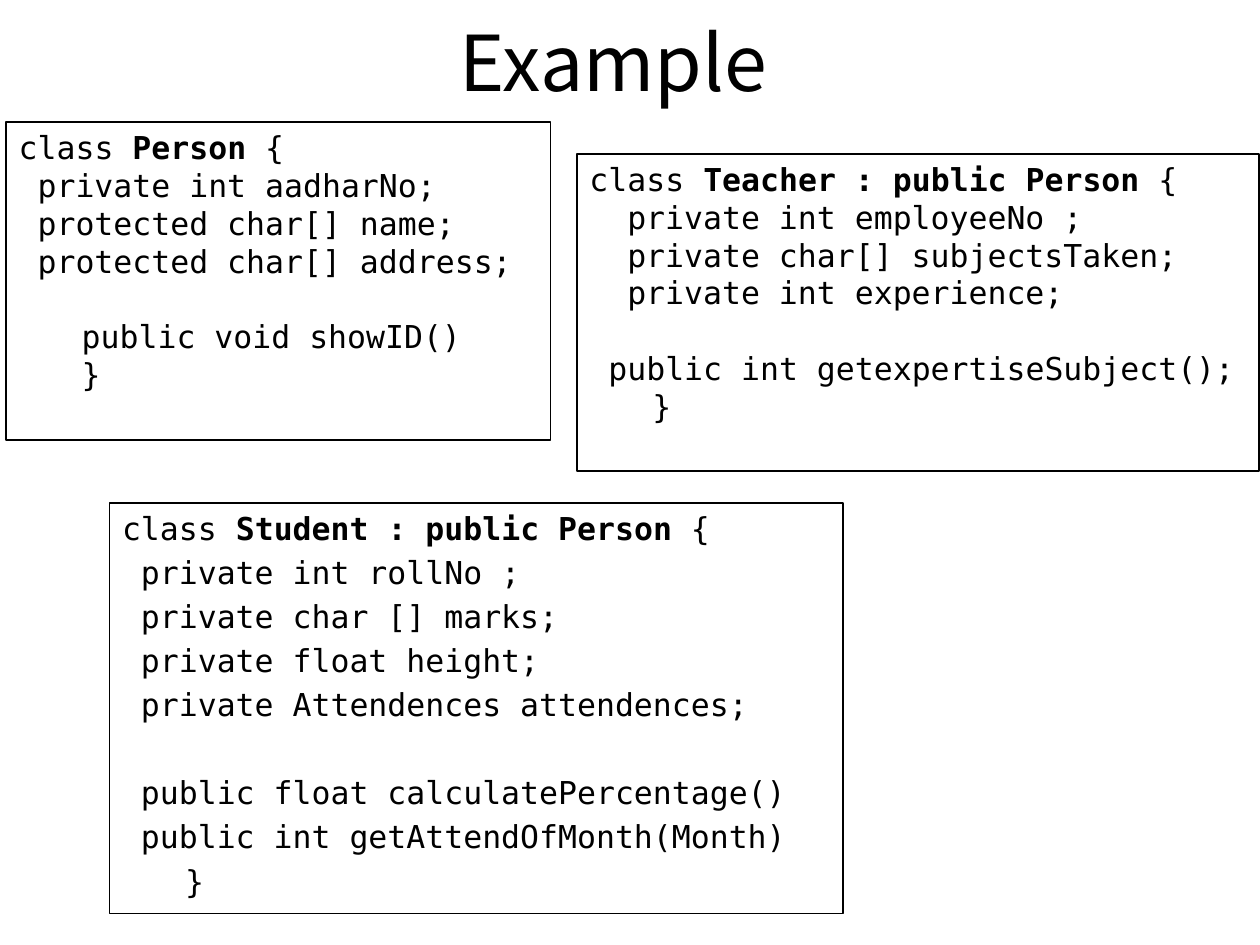
from dataclasses import dataclass

from pptx import Presentation
from pptx.dml.color import RGBColor
from pptx.enum.shapes import MSO_SHAPE
from pptx.enum.text import MSO_ANCHOR, PP_ALIGN
from pptx.slide import Slide
from pptx.util import Inches, Pt

BLACK = RGBColor(0x00, 0x00, 0x00)
WHITE = RGBColor(0xFF, 0xFF, 0xFF)
TITLE_FONT = "Noto Sans CJK JP"
CODE_FONT = "DejaVu Sans Mono"
CODE_SIZE = 18
LINE_HEIGHT = 21.5
ONE_SPACE = 0.15
TWO_SPACES = 0.3
NESTED = 0.5


@dataclass(frozen=True)
class CodeLine:
    text: str
    indent: float = ONE_SPACE
    after_gap: bool = False


@dataclass(frozen=True)
class ClassBox:
    left: float
    top: float
    width: float
    height: float
    heading: str
    lines: tuple[CodeLine, ...]
    spacing: float = 0


CLASS_BOXES = (
    ClassBox(0.87, 3.99, 5.82, 3.26, "Student : public Person ", (
        CodeLine("private int rollNo ;"),
        CodeLine("private char [] marks;"),
        CodeLine("private float height;"),
        CodeLine("private Attendences attendences;"),
        CodeLine("public float calculatePercentage()", after_gap=True),
        CodeLine("public int getAttendOfMonth(Month)"),
        CodeLine("}", NESTED),
    ), spacing=3.6),
    ClassBox(0.05, 0.97, 4.32, 2.52, "Person ", (
        CodeLine("private int aadharNo;"),
        CodeLine("protected char[] name;"),
        CodeLine("protected char[] address;"),
        CodeLine("public void showID()", NESTED, after_gap=True),
        CodeLine("}", NESTED),
    )),
    ClassBox(4.58, 1.22, 5.41, 2.52, "Teacher : public Person ", (
        CodeLine("private int employeeNo ;", TWO_SPACES),
        CodeLine("private char[] subjectsTaken;", TWO_SPACES),
        CodeLine("private int experience;", TWO_SPACES),
        CodeLine("public int getexpertiseSubject();", after_gap=True),
        CodeLine("}", NESTED),
    )),
)


def format_span(span, font_name: str, size: float, bold: bool = False) -> None:
    span.font.name = font_name
    span.font.size = Pt(size)
    span.font.bold = bold
    span.font.color.rgb = BLACK


def add_title(slide: Slide, text: str) -> None:
    title = slide.shapes.title
    title.left, title.top = Inches(0.62), Inches(0)
    title.width, title.height = Inches(8.5), Inches(0.97)
    title.text_frame.text = text
    title.text_frame.vertical_anchor = MSO_ANCHOR.MIDDLE
    para = title.text_frame.paragraphs[0]
    para.alignment = PP_ALIGN.CENTER
    format_span(para.runs[0], TITLE_FONT, 44)


def add_class_box(slide: Slide, spec_box: ClassBox) -> None:
    box = slide.shapes.add_shape(
        MSO_SHAPE.RECTANGLE, Inches(spec_box.left), Inches(spec_box.top),
        Inches(spec_box.width), Inches(spec_box.height))
    box.shadow.inherit = False
    box.fill.solid()
    box.fill.fore_color.rgb = WHITE
    box.line.color.rgb = BLACK
    box.line.width = Pt(1)
    frame = box.text_frame
    frame.word_wrap = True
    frame.vertical_anchor = MSO_ANCHOR.TOP

    heading = frame.paragraphs[0]
    heading.alignment = PP_ALIGN.LEFT
    for text, bold in (("class ", False), (spec_box.heading, True), ("{", False)):
        span = heading.add_run()
        span.text = text
        format_span(span, CODE_FONT, CODE_SIZE, bold)

    for line in spec_box.lines:
        para = frame.add_paragraph()
        para.text = line.text
        para.alignment = PP_ALIGN.LEFT
        gap = LINE_HEIGHT + spec_box.spacing if line.after_gap else 0
        para.space_before = Pt(spec_box.spacing + gap)
        para._p.get_or_add_pPr().set("marL", str(Inches(line.indent)))
        format_span(para.runs[0], CODE_FONT, CODE_SIZE)


def main() -> None:
    deck = Presentation()
    deck.slide_width, deck.slide_height = Inches(10), Inches(7.5)
    slide = deck.slides.add_slide(deck.slide_layouts[5])
    add_title(slide, "Example")
    for class_box in CLASS_BOXES:
        add_class_box(slide, class_box)
    deck.save("out.pptx")


if __name__ == "__main__":
    main()
